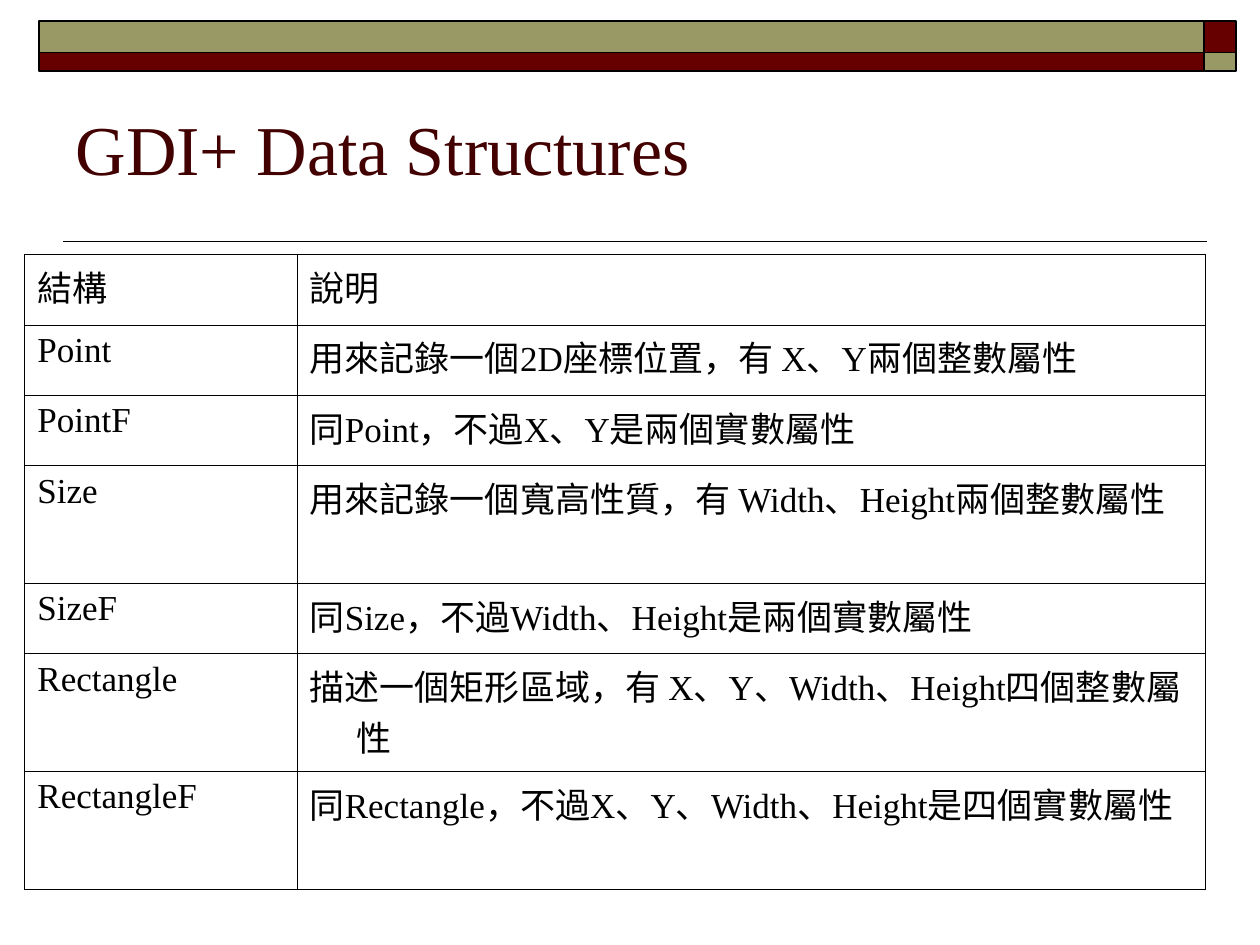
from pptx import Presentation
from pptx.dml.color import RGBColor as RGB
from pptx.enum.shapes import MSO_CONNECTOR as CONN, MSO_SHAPE as SHAPE
from pptx.enum.text import MSO_ANCHOR as ANCHOR, MSO_AUTO_SIZE as AUTO, PP_ALIGN as ALIGN
from pptx.oxml import parse_xml
from pptx.oxml.ns import nsdecls
from pptx.util import Cm, Pt

TITLE = "GDI+ Data Structures"
ROWS = [
    ("結構", "說明"),
    ("Point", "用來記錄一個2D座標位置，有 X、Y兩個整數屬性"),
    ("PointF", "同Point，不過X、Y是兩個實數屬性"),
    ("Size", "用來記錄一個寬高性質，有 Width、Height兩個整數屬性"),
    ("SizeF", "同Size，不過Width、Height是兩個實數屬性"),
    ("Rectangle", "描述一個矩形區域，有 X、Y、Width、Height四個整數屬性"),
    ("RectangleF", "同Rectangle，不過X、Y、Width、Height是四個實數屬性"),
]
TWO_LINE = {"Size", "Rectangle", "RectangleF"}
ROW_H = {1: 1.42, 2: 2.37}
COL_W = (5.49, 18.31)
BAND_X, BAND_Y = 0.78, 0.42
BAND_W = (23.5, 0.64)
BAND_H = (0.64, 0.38)

THEME = {
    "font": "Times New Roman",
    "title": RGB(0x42, 0x00, 0x00),
    "ink": RGB(0, 0, 0),
    "olive": RGB(0x99, 0x99, 0x66),
    "maroon": RGB(0x66, 0x00, 0x00),
    "title_size": Pt(40),
    "body_size": Pt(20),
    "line": Pt(1),
    "border": Pt(0.45),
}


def write(tf, text, size, color, hang):
    p = tf.paragraphs[0]
    p.alignment = ALIGN.LEFT
    pPr = p._p.get_or_add_pPr()
    pPr.set("marL", str(Cm(hang)))
    pPr.set("indent", str(-Cm(hang)))
    r = p.add_run()
    r.text = text
    r.font.name = THEME["font"]
    r.font.size = size
    r.font.color.rgb = color


def add_bands(s):
    colors = (THEME["olive"], THEME["maroon"])
    for i, h in enumerate(BAND_H):
        for j, w in enumerate(BAND_W):
            sp = s.shapes.add_shape(
                SHAPE.RECTANGLE, Cm(BAND_X + sum(BAND_W[:j])),
                Cm(BAND_Y + sum(BAND_H[:i])), Cm(w), Cm(h))
            sp.shadow.inherit = False
            sp.fill.solid()
            sp.fill.fore_color.rgb = colors[(i + j) % 2]
            sp.line.color.rgb = THEME["ink"]
            sp.line.width = THEME["line"]


def add_rule(s):
    ln = s.shapes.add_connector(CONN.STRAIGHT, Cm(24.33), Cm(4.87), Cm(1.27), Cm(4.87))
    ln.line.color.rgb = THEME["ink"]
    ln.line.width = THEME["line"]
    ln._element.spPr.append(parse_xml(f"<a:effectLst {nsdecls('a')}/>"))


def add_title(s):
    sp = s.shapes.title
    sp.left, sp.top, sp.width, sp.height = Cm(1.27), Cm(0.76), Cm(22.86), Cm(3.18)
    tf = sp.text_frame
    tf.auto_size = AUTO.NONE
    tf.vertical_anchor = ANCHOR.BOTTOM
    write(tf, TITLE, THEME["title_size"], THEME["title"], 2.34)


def set_borders(cell):
    tcPr = cell._tc.get_or_add_tcPr()
    for i, side in enumerate("LRTB"):
        tcPr.insert(i, parse_xml(
            f'<a:ln{side} {nsdecls("a")} w="{THEME["border"]}"><a:solidFill>'
            f'<a:srgbClr val="{THEME["ink"]}"/></a:solidFill></a:ln{side}>'))


def add_structures(s):
    heights = [ROW_H[2 if name in TWO_LINE else 1] for name, _ in ROWS]
    table = s.shapes.add_table(
        len(ROWS), len(COL_W), Cm(0.5), Cm(5.13),
        Cm(sum(COL_W)), Cm(sum(heights))).table
    table.first_row = table.horz_banding = False
    for col, w in zip(table.columns, COL_W):
        col.width = Cm(w)
    for row, h, texts in zip(table.rows, heights, ROWS):
        row.height = Cm(h)
        for cell, text in zip(row.cells, texts):
            cell.fill.background()
            set_borders(cell)
            write(cell.text_frame, text, THEME["body_size"], THEME["ink"], 0.95)


def main():
    prs = Presentation()
    prs.slide_width, prs.slide_height = Cm(25.4), Cm(19.05)
    s = prs.slides.add_slide(prs.slide_layouts[5])
    add_rule(s)
    add_bands(s)
    add_title(s)
    add_structures(s)
    prs.save("out.pptx")


if __name__ == "__main__":
    main()
